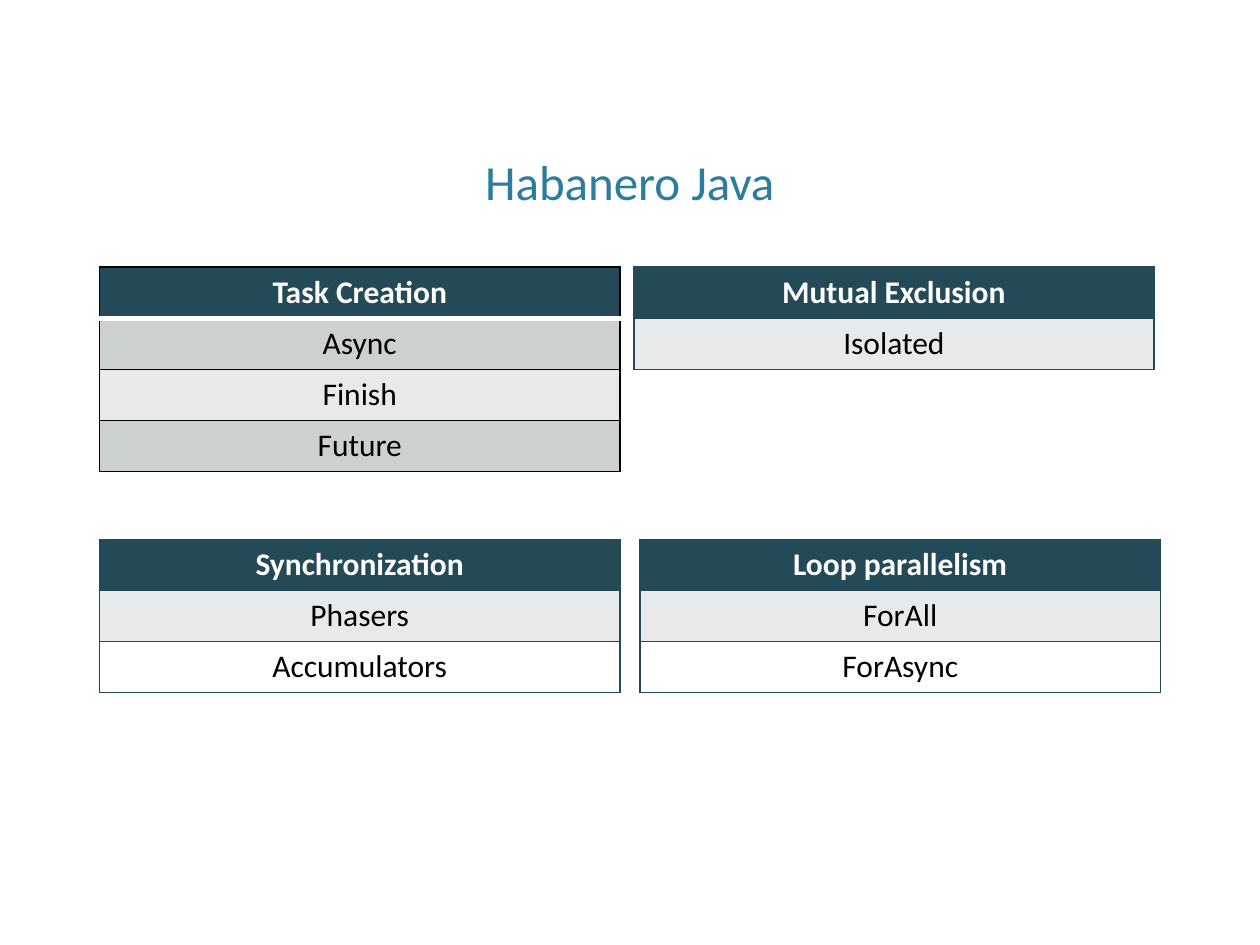
from dataclasses import dataclass

from lxml.etree import SubElement
from pptx import Presentation
from pptx.dml.color import RGBColor
from pptx.enum.text import MSO_ANCHOR, PP_ALIGN
from pptx.oxml.ns import qn
from pptx.util import Inches, Pt

COLORS = {
    "title": "2C7C9F",
    "header": "244A58",
    "dark_band": "CDD0D1",
    "light_band": "E8E9EA",
    "white": "FFFFFF",
    "black": "000000",
}
FONT = "Calibri"
TABLE_WIDTH = Inches(4.13)
ROW_HEIGHT = Inches(0.81) // 2
LEFT, TOP, LOWER_TOP = 0.79, 2.12, 4.28


@dataclass(frozen=True)
class ConstructTable:
    left: float
    top: float
    header: str
    items: tuple[str, ...]
    bands: tuple[str, str] = ("light_band", "white")
    border: str = "header"
    header_rule: tuple[str, float] = ("header", 1)


TABLES = (
    ConstructTable(LEFT, TOP, "Task Creation", ("Async", "Finish", "Future"),
                   bands=("dark_band", "light_band"), border="black",
                   header_rule=("white", 3)),
    ConstructTable(LEFT, LOWER_TOP, "Synchronization", ("Phasers", "Accumulators")),
    ConstructTable(5.03, TOP, "Mutual Exclusion", ("Isolated",)),
    ConstructTable(5.08, LOWER_TOP, "Loop parallelism", ("ForAll", "ForAsync")),
)


def rgb(name: str) -> RGBColor:
    return RGBColor.from_string(COLORS[name])


def write(tf, text: str, *, size: float, color: str, bold: bool = False,
          align=PP_ALIGN.CENTER) -> None:
    p = tf.paragraphs[0]
    p.alignment = align
    r = p.add_run()
    r.text = text
    r.font.name = FONT
    r.font.size = Pt(size)
    r.font.bold = bold
    r.font.color.rgb = rgb(color)


def add_border(cell, side: str, color: str, width: float) -> None:
    """Add one cell border; call for sides L, R, T, B in that order, before the fill."""
    tc_pr = cell._tc.get_or_add_tcPr()
    line = SubElement(tc_pr, qn(f"a:ln{side}"), w=str(Pt(width)))
    fill = SubElement(line, qn("a:solidFill"))
    SubElement(fill, qn("a:srgbClr"), val=COLORS[color])


def add_construct_table(s, spec: ConstructTable) -> None:
    texts = (spec.header, *spec.items)
    table = s.shapes.add_table(len(texts), 1, Inches(spec.left), Inches(spec.top),
                               TABLE_WIDTH, ROW_HEIGHT * len(texts)).table
    for i, text in enumerate(texts):
        is_header = i == 0
        table.rows[i].height = ROW_HEIGHT
        cell = table.cell(i, 0)
        edge = (spec.border, 1)
        borders = {
            "L": edge,
            "R": edge,
            "T": spec.header_rule if i == 1 else edge,
            "B": spec.header_rule if is_header else edge,
        }
        for side, (color, width) in borders.items():
            add_border(cell, side, color, width)
        cell.fill.solid()
        cell.fill.fore_color.rgb = rgb("header" if is_header else spec.bands[(i - 1) % 2])
        write(cell.text_frame, text, size=18, bold=is_header,
              color="white" if is_header else "black")


def add_title(s, text: str) -> None:
    title = s.shapes.title
    title.left, title.top = Inches(3.75), Inches(0.75)
    title.width, title.height = Inches(5.41), Inches(0.97)
    title.text_frame.vertical_anchor = MSO_ANCHOR.BOTTOM
    write(title.text_frame, text, size=28, color="title", align=PP_ALIGN.LEFT)


def main() -> None:
    prs = Presentation()
    prs.slide_width, prs.slide_height = Inches(10), Inches(7.5)
    s = prs.slides.add_slide(prs.slide_layouts[5])
    add_title(s, "Habanero Java")
    for spec in TABLES:
        add_construct_table(s, spec)
    prs.save("out.pptx")


if __name__ == "__main__":
    main()
